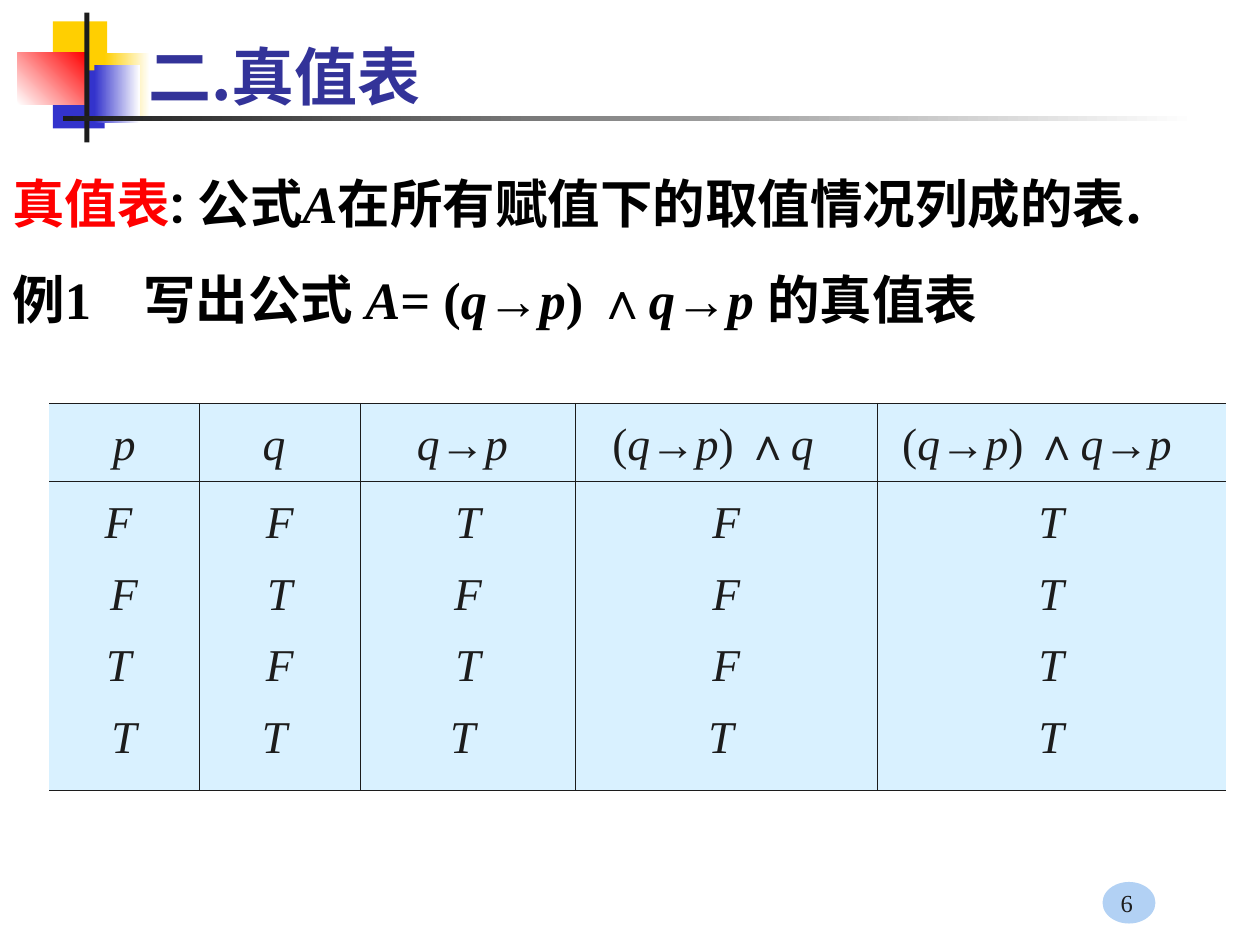
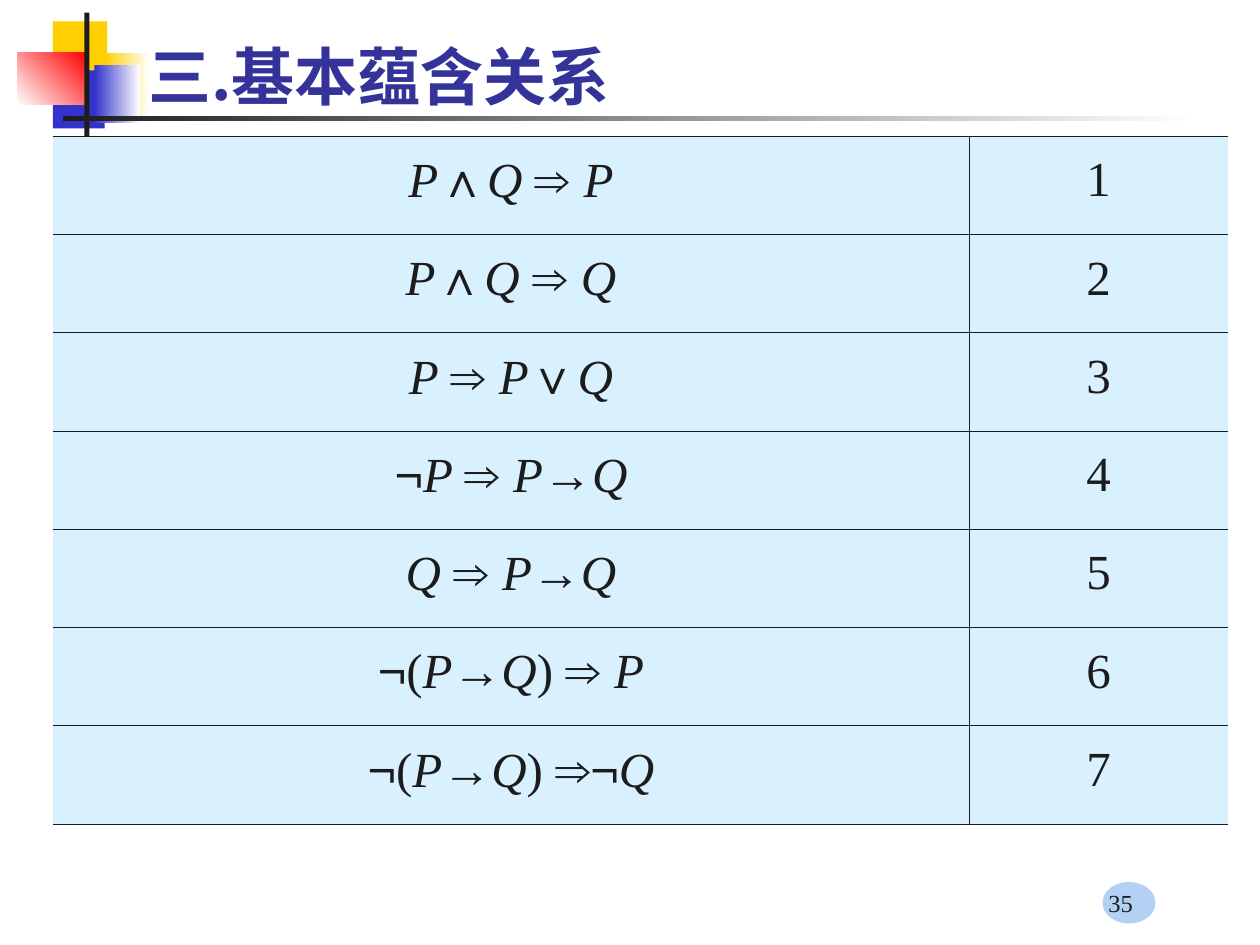
from itertools import groupby

from lxml.etree import SubElement
from pptx import Presentation
from pptx.dml.color import RGBColor
from pptx.enum.shapes import MSO_SHAPE as SHAPE
from pptx.enum.text import MSO_ANCHOR as ANCHOR, PP_ALIGN as ALIGN
from pptx.oxml.ns import qn
from pptx.util import Inches, Pt

COLORS = {
    "ink": "1C1C1C", "black": "000000", "white": "FFFFFF", "red": "FF0000",
    "title": "333399", "blue": "3333CC", "gold": "FFCF01",
    "badge": "B2D1F4", "cell": "D9F1FF",
}
SERIF, SYMBOL, CJK, SANS = "Times New Roman", "Arial", "Noto Sans CJK SC", "Roboto"
SYMBOLS = "→∧∨⇒¬"

# Shape, box (left, top, width, height), fill colour or (from, to, angle)
DECOR = [
    (SHAPE.OVAL, (8.75, 7, 0.42, 0.33), "badge"),
    (SHAPE.RECTANGLE, (0.42, 0.17, 0.43, 0.46), "gold"),
    (SHAPE.RECTANGLE, (0.83, 0.42, 0.36, 0.52), ("gold", "white", 0)),
    (SHAPE.RECTANGLE, (0.42, 0.56, 0.41, 0.46), "blue"),
    (SHAPE.RECTANGLE, (0.75, 0.52, 0.36, 0.46), ("blue", "white", 0)),
    (SHAPE.RECTANGLE, (0.14, 0.42, 0.55, 0.41), ("white", "red", 45)),
    (SHAPE.RECTANGLE, (0.67, 0.1, 0.04, 1.03), "ink"),
    (SHAPE.RECTANGLE, (0.5, 0.92, 9, 0.04), ("ink", "white", 0)),
]

# Runs: text, font, italic, colour
DEFINITION = [
    ("真值表", CJK, False, "red"),
    (": ", SANS, False, "black"),
    ("公式", CJK, False, "black"),
    ("A", SERIF, True, "black"),
    ("在所有赋值下的取值情况列成的表.", CJK, False, "black"),
]
EXAMPLE = "例1\t写出公式 A= (q→p) ∧q→p 的真值表"
EXAMPLE_TAB = 1.04

# Heading, left indent (None = centred), column width, values
TRUTH_COLUMNS = [
    ("p", None, 1.19, ["F ", "F", "T ", "T"]),
    ("q ", None, 1.28, ["F", "T", "F", "T "]),
    ("q→p ", None, 1.71, ["T", "F", "T", "T "]),
    ("(q→p) ∧q", 0.18, 2.39, ["F", "F", "F", "T "]),
    ("(q→p) ∧q→p", 0.09, 2.77, ["T", "T", "T", "T"]),
]
IMPLICATIONS = [
    "P∧Q ⇒ P", "P∧Q ⇒ Q", "P ⇒ P∨Q", "¬P ⇒ P→Q",
    "Q ⇒ P→Q", "¬(P→Q) ⇒ P", "¬(P→Q) ⇒¬Q",
]


def rgb(name):
    return RGBColor.from_string(COLORS[name])


def add_run(p, text, font, italic=False, color=None):
    r = p.add_run()
    r.text = text
    r.font.name = font
    r.font.italic = italic
    if color:
        r.font.color.rgb = rgb(color)
    ea = SYMBOL if font == SYMBOL else CJK
    SubElement(r.font._element, qn("a:ea")).set("typeface", ea)


def add_formula(p, text):
    """Letters become italic serif, operators Arial; a space follows its left neighbour."""
    styles = []
    for c in text:
        if c == " " and styles:
            styles.append(styles[-1])
        elif c in SYMBOLS:
            styles.append((SYMBOL, False))
        else:
            styles.append((SERIF, c.isascii() and c.isalpha()))
    for style, pairs in groupby(zip(styles, text), key=lambda pair: pair[0]):
        add_run(p, "".join(c for _, c in pairs), *style)


def style_paragraph(p, size, color="ink", bold=False, align=ALIGN.LEFT, before=0, spacing=1.0):
    p.font.size, p.font.bold, p.font.color.rgb = Pt(size), bold, rgb(color)
    p.alignment, p.space_before, p.line_spacing = align, Pt(before), spacing


def add_text_box(slide, box, anchor=ANCHOR.TOP):
    tf = slide.shapes.add_textbox(*map(Inches, box)).text_frame
    tf.word_wrap = True
    tf.vertical_anchor = anchor
    return tf


def add_base_slide(prs, title, number):
    slide = prs.slides.add_slide(prs.slide_layouts[6])
    for kind, box, fill in DECOR:
        sp = slide.shapes.add_shape(kind, *map(Inches, box))
        sp.shadow.inherit = False
        sp.line.fill.background()
        if isinstance(fill, str):
            sp.fill.solid()
            sp.fill.fore_color.rgb = rgb(fill)
        else:
            *ends, angle = fill
            sp.fill.gradient()
            sp.fill.gradient_angle = angle
            for stop, name in zip(sp.fill.gradient_stops, ends):
                stop.color.rgb = rgb(name)
    p = add_text_box(slide, (1.08, 0.25, 8.52, 0.68)).paragraphs[0]
    style_paragraph(p, 36, "title", bold=True)
    add_run(p, title, CJK)
    p = add_text_box(slide, (7.01, 6.83, 2.08, 0.5), ANCHOR.BOTTOM).paragraphs[0]
    style_paragraph(p, 14, align=ALIGN.RIGHT)
    add_run(p, str(number), SERIF)
    return slide


def set_border(cell, side, visible):
    ln = SubElement(cell._tc.get_or_add_tcPr(), qn(f"a:ln{side}"), w=str(Pt(0.45)))
    if visible:
        fill = SubElement(ln, qn("a:solidFill"))
        SubElement(fill, qn("a:srgbClr")).set("val", COLORS["ink"])
    else:
        SubElement(ln, qn("a:noFill"))


def add_grid(slide, left, top, widths, heights, margin):
    """Add a pale table that is ruled everywhere but on its outer left and right."""
    box = map(Inches, (left, top, sum(widths), sum(heights)))
    table = slide.shapes.add_table(len(heights), len(widths), *box).table
    table.first_row = table.horz_banding = False
    for row, height in zip(table.rows, heights):
        row.height = Inches(height)
    for i, width in enumerate(widths):
        table.columns[i].width = Inches(width)
        for j in range(len(heights)):
            cell = table.cell(j, i)
            cell.margin_left = cell.margin_right = Inches(margin)
            for side, visible in (("L", i > 0), ("R", i < len(widths) - 1), ("T", True), ("B", True)):
                set_border(cell, side, visible)
            cell.fill.solid()
            cell.fill.fore_color.rgb = rgb("cell")
    return table


def fill_cell(cell, lines, size, before, align=ALIGN.CENTER):
    tf = cell.text_frame
    for i, line in enumerate(lines):
        p = tf.add_paragraph() if i else tf.paragraphs[0]
        style_paragraph(p, size, align=align, before=before, spacing=1.2)
        add_formula(p, line)


def build_truth_table(prs):
    slide = add_base_slide(prs, "二.真值表", 6)
    widths = [width for _, _, width, _ in TRUTH_COLUMNS]
    table = add_grid(slide, 0.39, 3.2, widths, [0.62, 2.45], 0.11)
    for i, (heading, indent, _, values) in enumerate(TRUTH_COLUMNS):
        head = table.cell(0, i)
        fill_cell(head, [heading], 26, 6.5, ALIGN.LEFT if indent else ALIGN.CENTER)
        if indent:
            head.margin_left += Inches(indent)
        fill_cell(table.cell(1, i), values, 26, 6.5)

    tf = add_text_box(slide, (0, 1.31, 9.73, 1.42))
    p = tf.paragraphs[0]
    style_paragraph(p, 30, "black", bold=True, before=7.5)
    for run in DEFINITION:
        add_run(p, *run)
    p = tf.add_paragraph()
    style_paragraph(p, 30, "black", bold=True, before=18.7)
    tabs = SubElement(p._p.get_or_add_pPr(), qn("a:tabLst"))
    SubElement(tabs, qn("a:tab"), pos=str(Inches(EXAMPLE_TAB)), algn="l")
    p._p.pPr.insert(p._p.pPr.index(p._p.pPr.find(qn("a:defRPr"))), tabs)
    add_formula(p, EXAMPLE)


def build_implications(prs):
    slide = add_base_slide(prs, "三.基本蕴含关系", 35)
    table = add_grid(slide, 0.42, 1.08, [7.27, 2.06], [0.78] * len(IMPLICATIONS), 0.1)
    for j, formula in enumerate(IMPLICATIONS):
        for i, text in enumerate((formula, str(j + 1))):
            fill_cell(table.cell(j, i), [text], 28, 7)


def main():
    prs = Presentation()
    prs.slide_width, prs.slide_height = Inches(10), Inches(7.5)
    build_truth_table(prs)
    build_implications(prs)
    prs.save("out.pptx")


if __name__ == "__main__":
    main()
